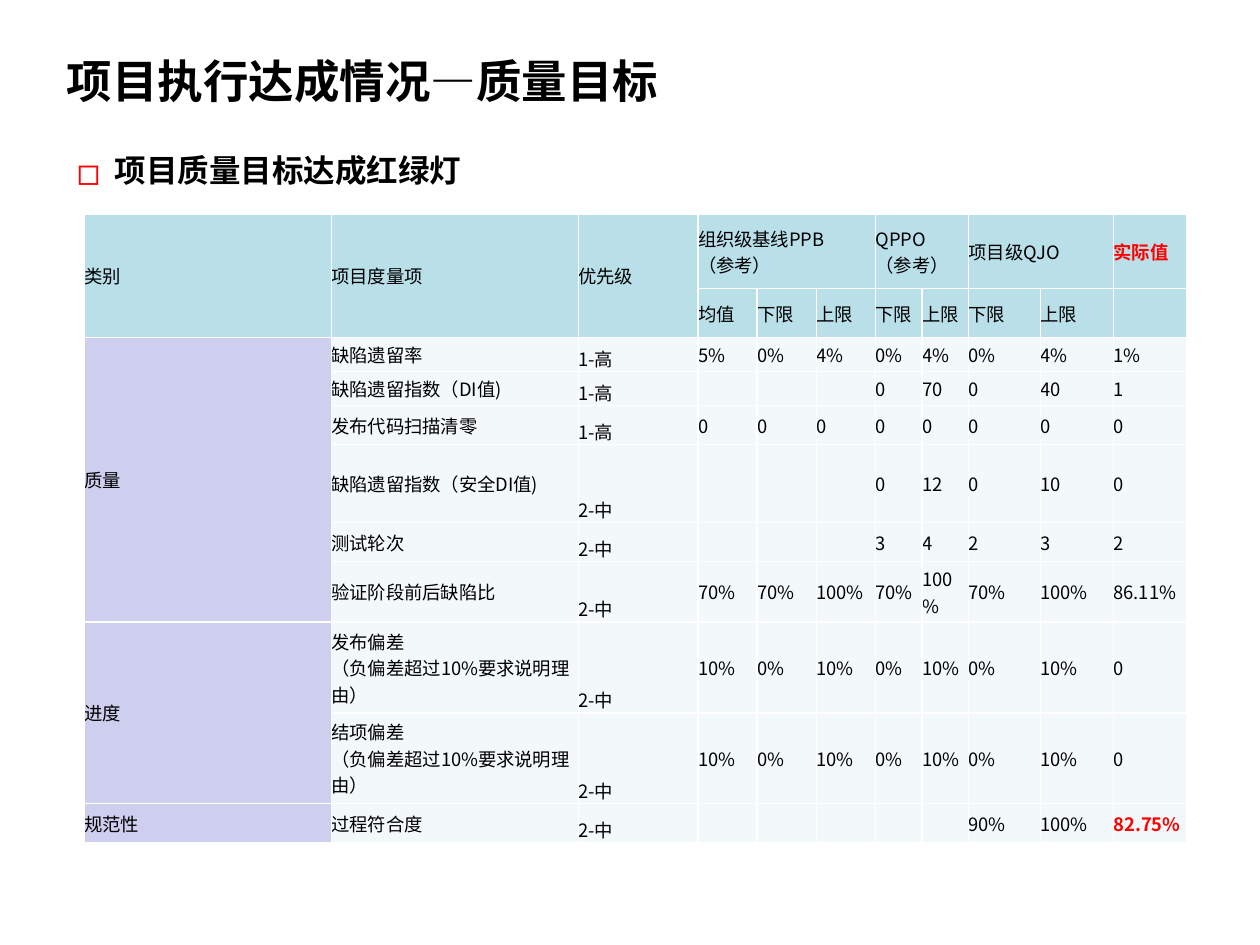
from lxml import etree
from pptx import Presentation, util as u
from pptx.dml.color import RGBColor
from pptx.enum import text
from pptx.oxml import ns

LATIN, CJK = "Arial", "Noto Sans CJK SC"
BLACK, RED, WHITE = "000000", "FF0000", "FFFFFF"
HEADER, CATEGORY, BODY = "B9DFE9", "CECEEF", "F3F9FA"
TABLE_SIZE = 10.5

TITLE = "项目执行达成情况—质量目标"
SUBTITLE = "项目质量目标达成红绿灯"
REASON = "\n（负偏差超过10%要求说明理由）"
HIGH, MEDIUM = "1-高", "2-中"

HEADERS = [
    ["类别", "项目度量项", "优先级", "组织级基线PPB\n（参考）", "", "",
     "QPPO\n（参考）", "", "项目级QJO", "", "实际值"],
    ["", "", "", "均值", "下限", "上限", "下限", "上限", "下限", "上限", ""],
]
# category, measure, priority, then baseline (3), QPPO (2), QJO (2), actual
MEASURES = [
    ["质量", "缺陷遗留率", HIGH, "5%", "0%", "4%", "0%", "4%", "0%", "4%", "1%"],
    ["", "缺陷遗留指数（DI值)", HIGH, "", "", "", "0", "70", "0", "40", "1"],
    ["", "发布代码扫描清零", HIGH] + ["0"] * 8,
    ["", "缺陷遗留指数（安全DI值)", MEDIUM, "", "", "", "0", "12", "0", "10", "0"],
    ["", "测试轮次", MEDIUM, "", "", "", "3", "4", "2", "3", "2"],
    ["", "验证阶段前后缺陷比", MEDIUM,
     "70%", "70%", "100%", "70%", "100%", "70%", "100%", "86.11%"],
    ["进度", "发布偏差" + REASON, MEDIUM,
     "10%", "0%", "10%", "0%", "10%", "0%", "10%", "0"],
    ["", "结项偏差" + REASON, MEDIUM,
     "10%", "0%", "10%", "0%", "10%", "0%", "10%", "0"],
    ["规范性", "过程符合度", MEDIUM, "", "", "", "", "", "90%", "100%", "82.75%"],
]
ROWS = HEADERS + MEASURES
HIGHLIGHTS = {"实际值", "82.75%"}
# first row, first column, last row, last column
MERGES = [(0, 0, 1, 0), (0, 1, 1, 1), (0, 2, 1, 2), (0, 3, 0, 5),
          (0, 6, 0, 7), (0, 8, 0, 9), (2, 0, 7, 0), (8, 0, 9, 0)]
COLUMN_WIDTHS = [1.96, 1.96, 0.95, 0.47, 0.47, 0.47, 0.37, 0.37, 0.57, 0.58, 0.58]
ROW_HEIGHTS = [0.59, 0.39, 0.27, 0.27, 0.31, 0.62, 0.31, 0.48, 0.72, 0.72, 0.31]


def color(value):
    """Turn a hex string into a colour."""
    return RGBColor.from_string(value)


def add_child(parent, tag, **attributes):
    """Append a DrawingML element to a parent."""
    return etree.SubElement(parent, ns.qn("a:" + tag), attributes)


def add_run(paragraph, content, size, shade=BLACK, bold=False, latin=CJK):
    """Add one formatted run."""
    run = paragraph.add_run()
    run.text = content
    run.font.size, run.font.bold, run.font.name = u.Pt(size), bold, latin
    run.font.color.rgb = color(shade)
    add_child(run.font._element, "ea", typeface=CJK)


def place(shape, left, top, width, height):
    """Position a shape, in inches."""
    shape.left, shape.top = u.Inches(left), u.Inches(top)
    shape.width, shape.height = u.Inches(width), u.Inches(height)


def add_title(slide):
    """Fill the title placeholder."""
    title = slide.shapes.title
    place(title, 0.43, 0.36, 7.48, 0.55)
    title.text_frame.auto_size = text.MSO_AUTO_SIZE.NONE
    title.text_frame.vertical_anchor = text.MSO_ANCHOR.MIDDLE
    paragraph = title.text_frame.paragraphs[0]
    paragraph.alignment = text.PP_ALIGN.LEFT
    add_run(paragraph, TITLE, 26, bold=True, latin=LATIN)


def add_subtitle(slide):
    """Fill the body placeholder with the bulleted heading."""
    body = slide.placeholders[1]
    place(body, 0.51, 1.15, 6.61, 0.77)
    body.text_frame.auto_size = text.MSO_AUTO_SIZE.NONE
    paragraph = body.text_frame.paragraphs[0]
    paragraph.space_before = u.Pt(1)
    properties = paragraph._p.get_or_add_pPr()
    indent = u.Inches(0.3)
    properties.set("marL", str(indent))
    properties.set("indent", str(-indent))
    add_child(add_child(properties, "buClr"), "srgbClr", val=RED)
    add_child(properties, "buSzPct", val="120000")
    add_child(properties, "buFont", typeface=CJK)
    add_child(properties, "buChar", char="◻")
    add_run(paragraph, SUBTITLE, 18, bold=True)


def fill_cell(cell, content, fill, anchor):
    """Give a cell its text, borders and fill."""
    cell.margin_left = cell.margin_right = cell.margin_top = cell.margin_bottom = 0
    cell.vertical_anchor = anchor
    properties = cell._tc.get_or_add_tcPr()
    for side in ("lnL", "lnR", "lnT", "lnB"):
        line = add_child(properties, side, w=str(u.Pt(1)))
        add_child(add_child(line, "solidFill"), "srgbClr", val=WHITE)
    cell.fill.solid()
    cell.fill.fore_color.rgb = color(fill)
    paragraph = cell.text_frame.paragraphs[0]
    if not content:
        add_child(paragraph._p, "endParaRPr", sz=str(int(TABLE_SIZE * 100)))
        return
    marked = content in HIGHLIGHTS
    for index, part in enumerate(content.split("\n")):
        if index:
            paragraph.add_line_break()
        add_run(paragraph, part, TABLE_SIZE, RED if marked else BLACK, marked)


def add_goal_table(slide):
    """Build the table of quality goals."""
    frame = slide.shapes.add_table(
        len(ROWS), len(COLUMN_WIDTHS), u.Inches(0.67), u.Inches(1.7),
        u.Inches(sum(COLUMN_WIDTHS)), u.Inches(sum(ROW_HEIGHTS)))
    table = frame.table
    table.first_row = table.horz_banding = False
    for column, width in zip(table.columns, COLUMN_WIDTHS):
        column.width = u.Inches(width)
    for row, height in zip(table.rows, ROW_HEIGHTS):
        row.height = u.Inches(height)
    for top, left, bottom, right in MERGES:
        table.cell(top, left).merge(table.cell(bottom, right))
    for r, values in enumerate(ROWS):
        for c, content in enumerate(values):
            in_header = r < len(HEADERS)
            fill = HEADER if in_header else CATEGORY if c == 0 else BODY
            low = c == 2 and not in_header
            anchor = text.MSO_ANCHOR.BOTTOM if low else text.MSO_ANCHOR.MIDDLE
            fill_cell(table.cell(r, c), content, fill, anchor)


presentation = Presentation()
presentation.slide_width, presentation.slide_height = u.Inches(10), u.Inches(7.5)
slide = presentation.slides.add_slide(presentation.slide_layouts[1])
add_title(slide)
add_subtitle(slide)
add_goal_table(slide)
presentation.save("out.pptx")
